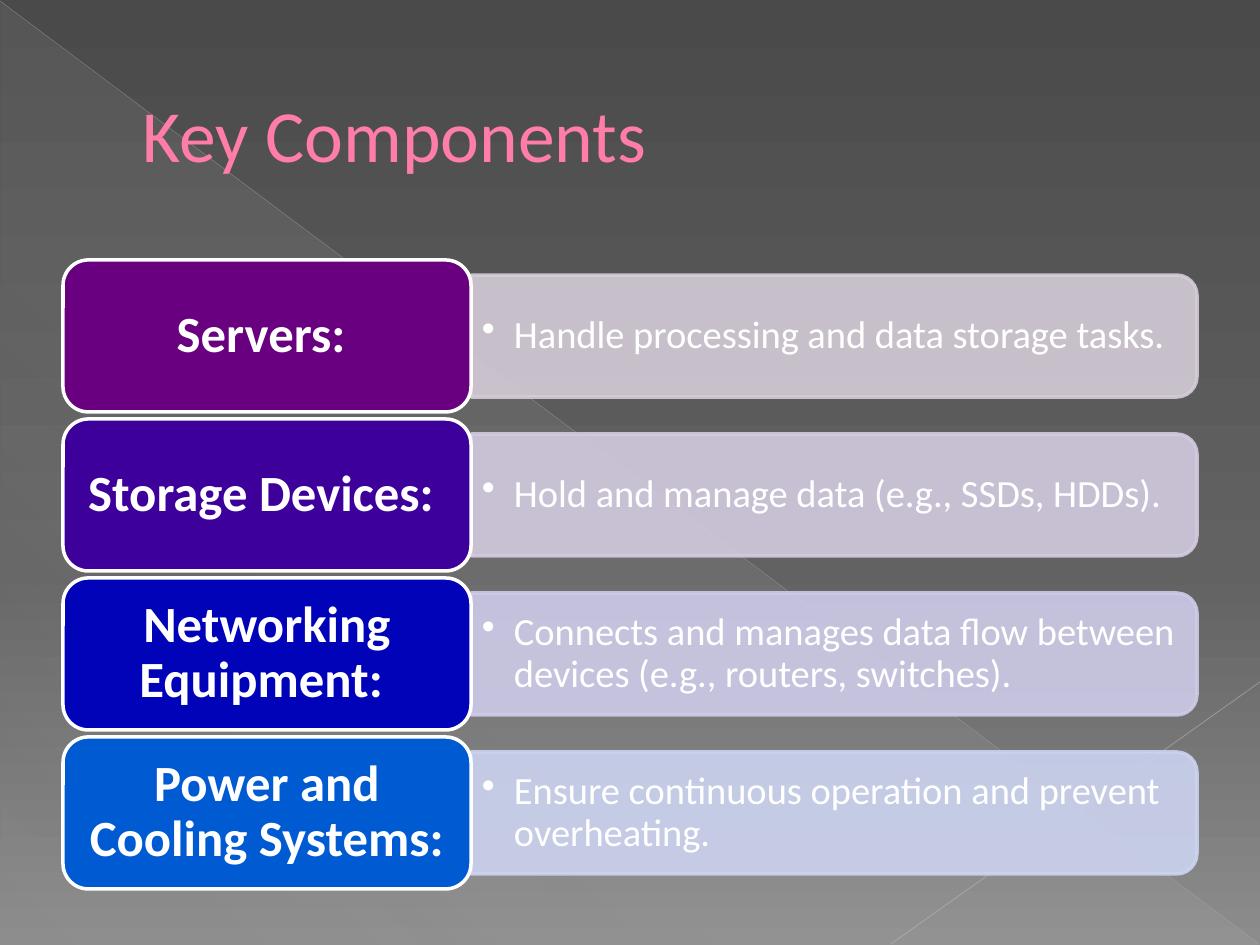
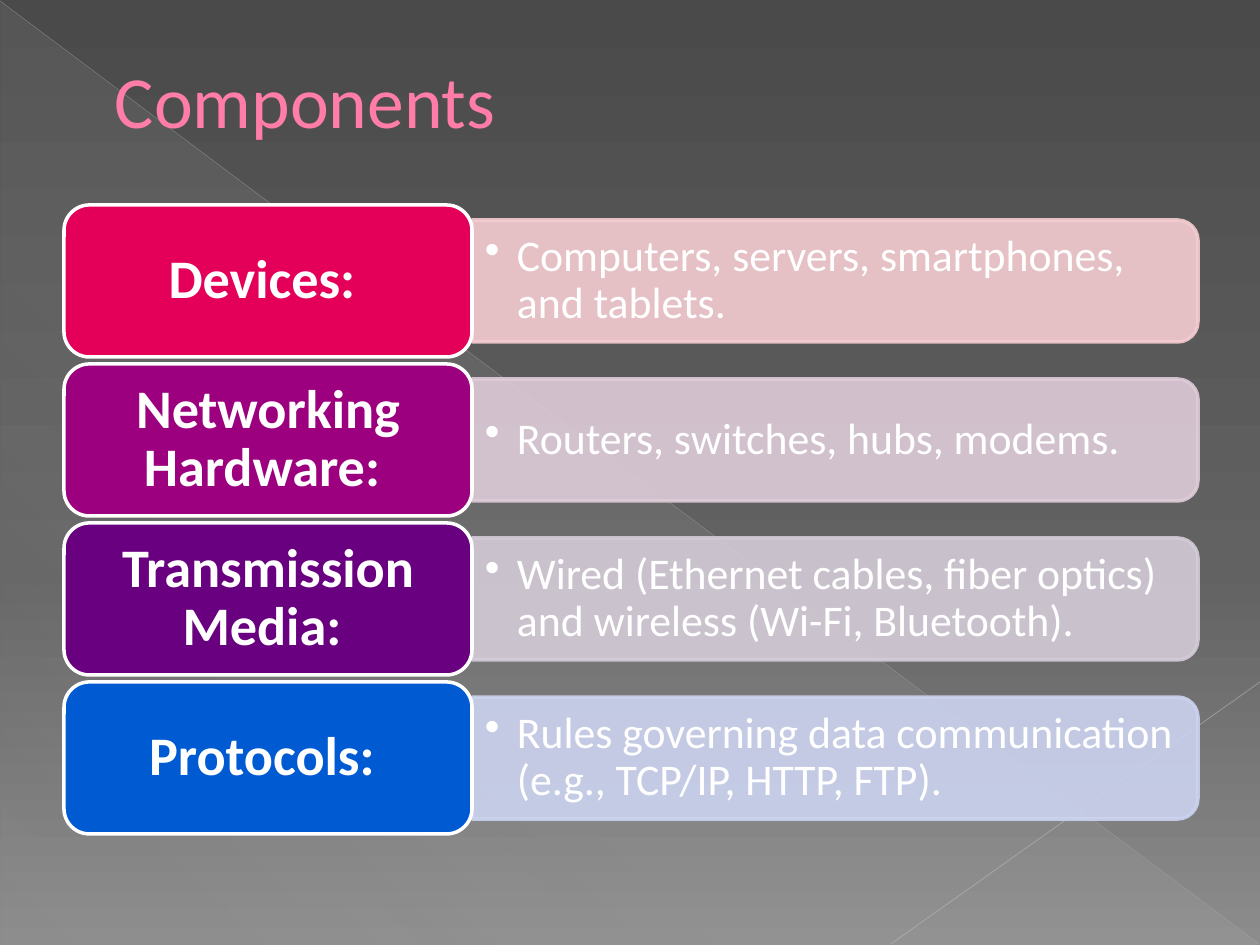
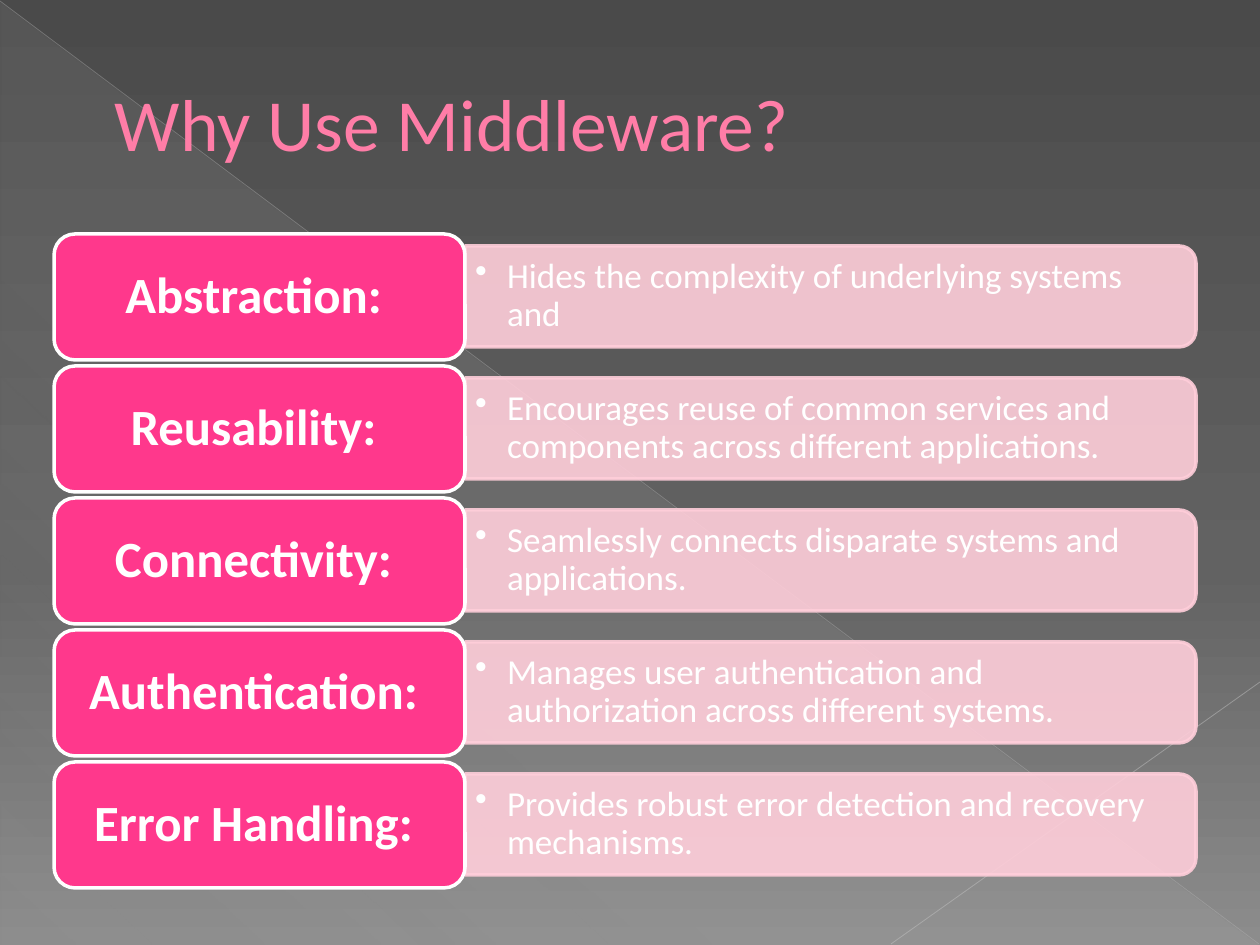
from dataclasses import dataclass
from pptx import Presentation
from pptx.dml.color import RGBColor
from pptx.enum.shapes import MSO_CONNECTOR, MSO_SHAPE
from pptx.enum.text import MSO_ANCHOR, PP_ALIGN
from pptx.oxml import parse_xml
from pptx.oxml.ns import nsdecls, qn
from pptx.util import Emu, Pt


@dataclass(frozen=True)
class Theme:
    font: str = "Calibri"
    title_size: int = 42
    title: str = "FF7DA7"
    title_edge: str = "B12761"
    text: str = "FFFFFF"
    backdrop: tuple = ((0, "4A4A4A", 100), (60, "626262", 100), (100, "8C8C8C", 100))
    sheen: tuple = ((0, "D2D2D2", 10), (70, "D2D2D2", 8), (100, "D2D2D2", 1))
    falling_line: str = "BFBFBF"
    rising_line: str = "C6C6C6"
    purple: tuple = ("68007F", "D4CCD8")
    indigo: tuple = ("3E009B", "D3CBE0")
    navy: tuple = ("0003B7", "CECBE8")
    blue: tuple = ("005BD3", "CCD3EF")
    red: tuple = ("E40059", "F5CCD1")
    plum: tuple = ("9C007F", "DECCD8")
    pink: tuple = ("FF388C", "FFCEDA")


@dataclass(frozen=True)
class RowGrid:
    left: int
    top: int
    label_w: int
    label_h: int
    bar_w: int
    label_size: int
    bar_size: int


THEME = Theme()
SCALE = 914400 / 126
SLIDE_W, SLIDE_H = 1260, 945
HANG = 32
TITLE_INDENT = 67

KEY_COMPONENTS = (
    (THEME.purple, "Servers: ", "Handle processing and data storage tasks."),
    (THEME.indigo, "Storage Devices: ", "Hold and manage data (e.g., SSDs, HDDs)."),
    (THEME.navy, "Networking Equipment: ",
     "Connects and manages data flow between devices (e.g., routers, switches)."),
    (THEME.blue, "Power and Cooling Systems: ",
     "Ensure continuous operation and prevent overheating."),
)
COMPONENTS = (
    (THEME.red, "Devices: ", "Computers, servers, smartphones, and tablets."),
    (THEME.plum, "Networking Hardware: ", "Routers, switches, hubs, modems."),
    (THEME.purple, "Transmission Media: ",
     "Wired (Ethernet cables, fiber optics) and wireless (Wi-Fi, Bluetooth)."),
    (THEME.blue, "Protocols: ",
     "Rules governing data communication (e.g., TCP/IP, HTTP, FTP)."),
)
MIDDLEWARE = (
    (THEME.pink, "Abstraction: ", "Hides the complexity of underlying systems and"),
    (THEME.pink, "Reusability: ",
     "Encourages reuse of common services and components across different applications."),
    (THEME.pink, "Connectivity: ",
     "Seamlessly connects disparate systems and applications."),
    (THEME.pink, "Authentication: ",
     "Manages user authentication and authorization across different systems."),
    (THEME.pink, "Error Handling: ",
     "Provides robust error detection and recovery mechanisms."),
)


def px(*lengths):
    return [Emu(round(n * SCALE)) for n in lengths]


def rgb(value):
    return RGBColor.from_string(value)


def set_gradient(fill, element, stops, angle):
    fill.gradient()
    old = element.find(".//" + qn("a:gradFill"))
    marks = "".join(
        f'<a:gs pos="{pos * 1000}"><a:srgbClr val="{color}">'
        f'<a:alpha val="{alpha * 1000}"/></a:srgbClr></a:gs>'
        for pos, color, alpha in stops)
    new = parse_xml(
        f'<a:gradFill {nsdecls("a")} rotWithShape="1"><a:gsLst>{marks}</a:gsLst>'
        f'<a:lin ang="{angle * 60000}" scaled="0"/></a:gradFill>')
    old.getparent().replace(old, new)


def set_alpha(sp, percent):
    for color in sp.element.spPr.iter(qn("a:srgbClr")):
        color.append(parse_xml(f'<a:alpha {nsdecls("a")} val="{percent * 1000}"/>'))


def add_panel(s, preset, box, color, edge):
    sp = s.shapes.add_shape(preset, *px(*box))
    sp.shadow.inherit = False
    sp.fill.solid()
    sp.fill.fore_color.rgb = rgb(color)
    sp.line.color.rgb = rgb(edge)
    sp.line.width = Pt(2)
    return sp


def add_faint_line(s, ends, color, width, alpha):
    line = s.shapes.add_connector(MSO_CONNECTOR.STRAIGHT, *px(*ends))
    line.line.color.rgb = rgb(color)
    line.line.width = Pt(width)
    set_alpha(line, alpha)
    line.element.spPr.append(parse_xml(f'<a:effectLst {nsdecls("a")}/>'))


def add_backdrop(s):
    sp = s.shapes.add_shape(MSO_SHAPE.RIGHT_TRIANGLE, *px(1, 2, 1258, 943))
    sp.shadow.inherit = False
    sp.line.fill.background()
    set_gradient(sp.fill, sp.element, THEME.sheen, 133)
    add_faint_line(s, (0, 1, 1259, 944), THEME.falling_line, 0.39, 35)
    add_faint_line(s, (SLIDE_W, 682, 891, 944), THEME.rising_line, 0.47, 45)


def set_frame(sp, pad_x, pad_y):
    tf = sp.text_frame
    tf.word_wrap = True
    tf.vertical_anchor = MSO_ANCHOR.MIDDLE
    tf.margin_left, tf.margin_right, tf.margin_top, tf.margin_bottom = px(
        pad_x, pad_x, pad_y, pad_y)
    return tf.paragraphs[0]


def add_run(p, text, size, color, bold=False):
    r = p.add_run()
    r.text = text
    r.font.name = THEME.font
    r.font.size = Pt(size)
    r.font.bold = bold
    r.font.color.rgb = rgb(color)
    return r


def add_title(s, text, box):
    p = set_frame(s.shapes.add_textbox(*px(*box)), 13, 6)
    p._p.get_or_add_pPr().set("marL", str(px(TITLE_INDENT)[0]))
    r = add_run(p, text, THEME.title_size, THEME.title)
    r.font._element.insert(0, parse_xml(
        f'<a:ln {nsdecls("a")} w="{Pt(0.5)}"><a:solidFill>'
        f'<a:srgbClr val="{THEME.title_edge}"/></a:solidFill></a:ln>'))


def add_bar(s, box, color, text, size):
    left, top, w, h = box
    turned = (left + (w - h) / 2, top + (h - w) / 2, h, w)
    sp = add_panel(s, MSO_SHAPE.ROUND_2_SAME_RECTANGLE, turned, color, color)
    sp.rotation = 90
    set_alpha(sp, 90)
    pad = (size + 1) // 2
    p = set_frame(s.shapes.add_textbox(*px(left, top + 6, w - 6, h - 12)), pad, pad // 2)
    pPr = p._p.get_or_add_pPr()
    hang = px(HANG)[0]
    pPr.set("marL", str(hang))
    pPr.set("indent", str(-hang))
    pPr.append(parse_xml(f'<a:buChar {nsdecls("a")} char="•"/>'))
    p.line_spacing = 0.9
    add_run(p, text, size, THEME.text)


def add_label(s, box, color, text, size):
    sp = add_panel(s, MSO_SHAPE.ROUNDED_RECTANGLE, box, color, THEME.text)
    pad = (size + 1) // 2
    p = set_frame(sp, pad, pad // 2)
    p.alignment = PP_ALIGN.CENTER
    p.line_spacing = 0.9
    add_run(p, text, size, THEME.text, bold=True)


def add_rows(s, grid, rows):
    pitch = grid.label_h + grid.label_h // 20
    bar_h = round(grid.label_h * 0.8)
    for i, ((strong, pale), label, detail) in enumerate(rows):
        top = grid.top + i * pitch
        bar_top = top + (grid.label_h - bar_h) // 2
        add_bar(s, (grid.left + grid.label_w, bar_top, grid.bar_w, bar_h),
                pale, detail, grid.bar_size)
        add_label(s, (grid.left, top, grid.label_w, grid.label_h),
                  strong, label, grid.label_size)


def add_row_slide(prs, title, title_box, grid, rows):
    s = prs.slides.add_slide(prs.slide_layouts[6])
    add_backdrop(s)
    add_title(s, title, title_box)
    add_rows(s, grid, rows)


def main():
    prs = Presentation()
    prs.slide_width, prs.slide_height = px(SLIDE_W, SLIDE_H)
    master = prs.slide_master
    set_gradient(master.background.fill, master.element, THEME.backdrop, 90)
    add_row_slide(prs, "Key Components", (63, 37, 1134, 193),
                  RowGrid(63, 260, 408, 152, 726, 29, 22), KEY_COMPONENTS)
    add_row_slide(prs, "Components", (35, 26, 1134, 147),
                  RowGrid(64, 205, 408, 152, 726, 31, 25), COMPONENTS)
    add_row_slide(prs, "Why Use Middleware?", (35, 26, 1134, 193),
                  RowGrid(54, 234, 411, 126, 731, 29, 20), MIDDLEWARE)
    prs.save("out.pptx")


if __name__ == "__main__":
    main()
